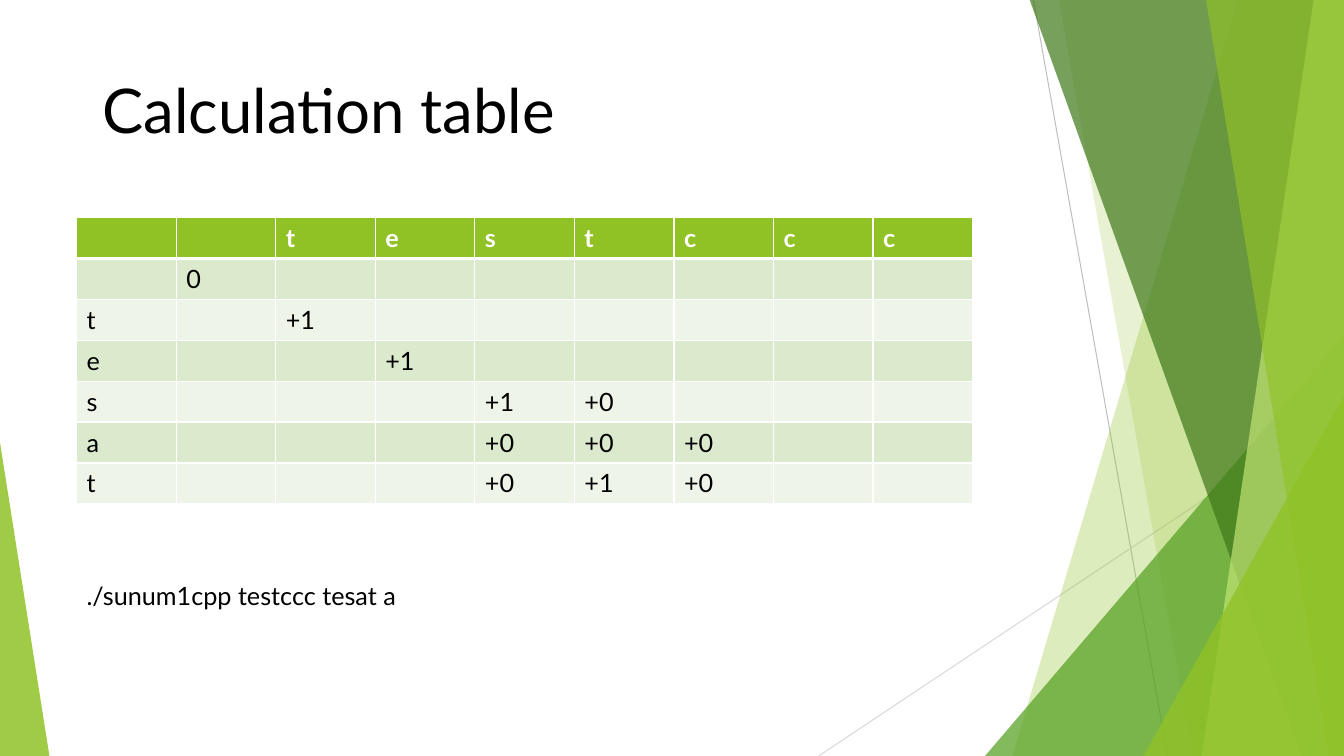
from dataclasses import dataclass
from lxml.etree import SubElement
from pptx import Presentation
from pptx.dml.color import RGBColor
from pptx.enum.shapes import MSO_CONNECTOR as Connector, MSO_SHAPE as Shape
from pptx.enum.text import MSO_ANCHOR as Anchor
from pptx.oxml.ns import qn
from pptx.util import Inches, Pt

TITLE = "Calculation table"
COMMAND = "./sunum1cpp testccc tesat a"
COLUMN_WORD = "testccc"
ROW_WORD = "tesat"
LEAD = 2
SCORES = {
    (1, 1): "0",
    (2, 2): "+1",
    (3, 3): "+1",
    (4, 4): "+1", (4, 5): "+0",
    (5, 4): "+0", (5, 5): "+0", (5, 6): "+0",
    (6, 4): "+0", (6, 5): "+1", (6, 6): "+0",
}


@dataclass(frozen=True)
class Theme:
    font: str = "Lato"
    title_size: int = 44
    body_size: int = 18
    black: str = "000000"
    white: str = "FFFFFF"
    lime: str = "90C226"
    green: str = "54A021"
    forest: str = "3F7819"
    pale: str = "C0E474"
    bands: tuple = ("DBE9CD", "EEF4E8")
    grid_line: int = 1
    header_line: int = 3
    hairline: float = 0.75


THEME = Theme()
WIDTH, HEIGHT, TOP = 13.33, 7.5, -0.01
MARGIN = 0.76
TABLE_TOP, TABLE_WIDTH, TABLE_HEIGHT = 2.16, 8.89, 2.84

HAIRLINES = [
    ((10.25, 0), (11.58, HEIGHT), "BFBFBF"),
    ((WIDTH, 4.03), (8.12, HEIGHT), "D9D9D9"),
]
FACETS = [
    ("band", 12.28, 10.04, THEME.lime, 30),
    ("band", 10.5, 11.83, THEME.lime, 20),
    ("triangle", (9.77, 3.33, 3.56), 1, THEME.green, 72),
    ("band", 10.21, 12.91, THEME.forest, 70),
    ("band", 13.03, 11.92, THEME.pale, 70),
    ("band", 11.96, 13.18, THEME.lime, 65),
    ("triangle", (11.34, 3.93, 1.99), 1, THEME.lime, 80),
    ("triangle", (0, 4.39, 0.49), 0, THEME.lime, 85),
]


def color(code):
    return RGBColor.from_string(code)


def add_hairline(page, start, end, code):
    line = page.shapes.add_connector(
        Connector.STRAIGHT, *map(Inches, start), *map(Inches, end))
    line.line.color.rgb = color(code)
    line.line.width = Pt(THEME.hairline)
    SubElement(line._element.spPr, qn("a:effectLst"))


def add_band(page, top_x, bottom_x):
    corners = [(WIDTH, TOP), (WIDTH, HEIGHT), (bottom_x, HEIGHT)]
    builder = page.shapes.build_freeform(Inches(top_x), Inches(TOP))
    builder.add_line_segments([(Inches(x), Inches(y)) for x, y in corners], close=True)
    return builder.convert_to_shape()


def add_triangle(page, place, apex):
    left, top, width = place
    shape = page.shapes.add_shape(
        Shape.ISOSCELES_TRIANGLE, *map(Inches, (left, top, width, HEIGHT - top)))
    shape.adjustments[0] = apex
    return shape


def add_facet(page, kind, first, second, code, opacity):
    draw = add_band if kind == "band" else add_triangle
    shape = draw(page, first, second)
    shape.shadow.inherit = False
    shape.line.fill.background()
    shape.fill.solid()
    shape.fill.fore_color.rgb = color(code)
    tint = shape._element.spPr.find(qn("a:solidFill"))[0]
    SubElement(tint, qn("a:alpha"), val=str(opacity * 1000))


def write(para, words, size, code, bold=False):
    span = para.add_run()
    span.text = words
    span.font.name = THEME.font
    span.font.size = Pt(size)
    span.font.bold = bold
    span.font.color.rgb = color(code)


def add_text(page, place, words, size, anchor, spacing):
    frame = page.shapes.add_textbox(*map(Inches, place)).text_frame
    frame.word_wrap = True
    frame.vertical_anchor = anchor
    para = frame.paragraphs[0]
    para.line_spacing = spacing
    write(para, words, size, THEME.black)


def style_cell(cell, row):
    properties = cell._tc.get_or_add_tcPr()
    for side in "LRTB":
        heavy = (row == 0 and side == "B") or (row == 1 and side == "T")
        weight = THEME.header_line if heavy else THEME.grid_line
        border = SubElement(properties, qn(f"a:ln{side}"), w=str(Pt(weight)))
        fill = SubElement(border, qn("a:solidFill"))
        SubElement(fill, qn("a:srgbClr"), val=THEME.white)
    cell.fill.solid()
    cell.fill.fore_color.rgb = color(THEME.bands[(row - 1) % 2] if row else THEME.lime)


def add_score_table(page):
    rows, columns = len(ROW_WORD) + LEAD, len(COLUMN_WORD) + LEAD
    words = dict(SCORES)
    words.update({(0, i + LEAD): letter for i, letter in enumerate(COLUMN_WORD)})
    words.update({(i + LEAD, 0): letter for i, letter in enumerate(ROW_WORD)})
    table = page.shapes.add_table(
        rows, columns,
        *map(Inches, (MARGIN, TABLE_TOP, TABLE_WIDTH, TABLE_HEIGHT))).table
    for row in range(rows):
        for column in range(columns):
            cell = table.cell(row, column)
            style_cell(cell, row)
            if (row, column) in words:
                code = THEME.black if row else THEME.white
                write(cell.text_frame.paragraphs[0], words[row, column],
                      THEME.body_size, code, bold=row == 0)


def main():
    deck = Presentation()
    deck.slide_width, deck.slide_height = Inches(WIDTH), Inches(HEIGHT)
    page = deck.slides.add_slide(deck.slide_layouts[6])
    for hairline in HAIRLINES:
        add_hairline(page, *hairline)
    for facet in FACETS:
        add_facet(page, *facet)
    add_text(page, (0.92, 0.4, 11.5, 1.45), TITLE, THEME.title_size, Anchor.MIDDLE, 0.9)
    add_text(page, (MARGIN, 5.71, WIDTH / 2, 0.4), COMMAND, THEME.body_size, Anchor.TOP, 1.0)
    add_score_table(page)
    deck.save("out.pptx")


if __name__ == "__main__":
    main()
